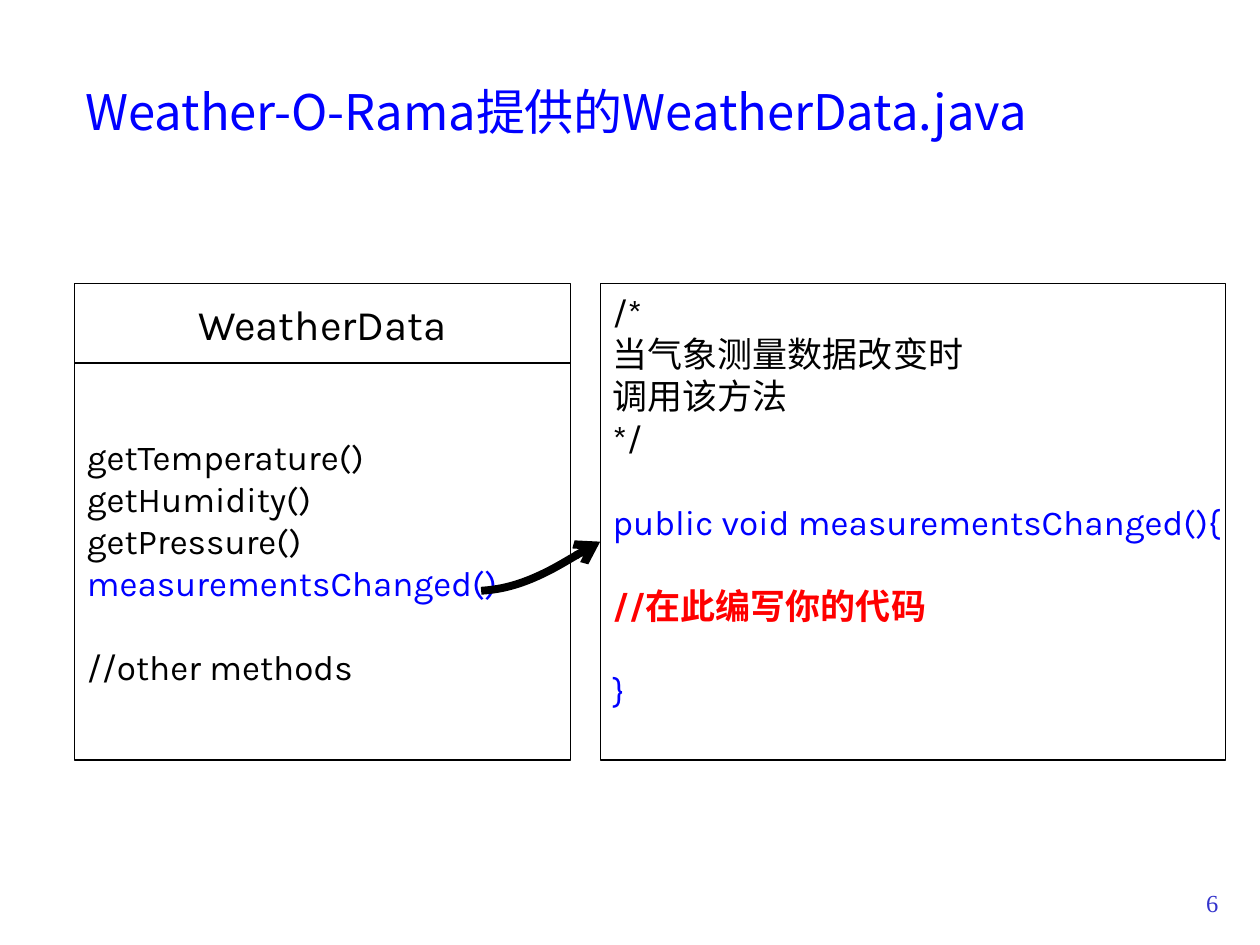
from lxml.etree import SubElement
from pptx import Presentation
from pptx.dml.color import RGBColor
from pptx.enum.shapes import MSO_SHAPE as Shape
from pptx.enum.text import MSO_ANCHOR as Anchor, MSO_AUTO_SIZE as AutoSize, PP_ALIGN as Align
from pptx.oxml.ns import qn
from pptx.util import Cm, Pt

COLORS = {"text": "000000", "code": "0000FF", "todo": "FF0000", "number": "3333CC"}
CODE_FONT, TITLE_FONT, NUMBER_FONT = "Karla", "Noto Sans CJK SC", "Times New Roman"
BLANK_LINE = 24  # points
INSET = 0.13  # cm, above and below the text


def write(paragraph, text, size=20, font=CODE_FONT, color="text", bold=False,
          align=Align.LEFT, before=0):
    paragraph.alignment = align
    paragraph.space_before = Pt(before)
    run = paragraph.add_run()
    run.text = text
    run.font.size = Pt(size)
    run.font.name = font
    run.font.bold = bold
    run.font.color.rgb = RGBColor.from_string(COLORS[color])
    SubElement(run.font._element, qn("a:ea"), typeface=font)


def place(shape, left, top, width, height):
    shape.left, shape.top, shape.width, shape.height = map(Cm, (left, top, width, height))


def add_box(shapes, left, top, width, height, lines, bottom=INSET):
    """Outlined rectangle; lines are (text, format) pairs."""
    box = shapes.add_shape(Shape.RECTANGLE, *map(Cm, (left, top, width, height)))
    box.shadow.inherit = False
    box.fill.background()
    box.line.color.rgb = RGBColor.from_string(COLORS["text"])
    box.line.width = Pt(0.75)
    frame = box.text_frame
    frame.word_wrap = False
    frame.vertical_anchor = Anchor.MIDDLE
    frame.margin_top, frame.margin_bottom = Cm(INSET), Cm(bottom)
    for i, (text, style) in enumerate(lines):
        paragraph = frame.add_paragraph() if i else frame.paragraphs[0]
        write(paragraph, text, **style)


def add_curved_arrow(shapes, points):
    """Open Bezier curve: a start, then three points for each segment."""
    start, *rest = [(Cm(x), Cm(y)) for x, y in points]
    builder = shapes.build_freeform(*start)
    builder.add_line_segments(rest, close=False)
    arrow = builder.convert_to_shape()
    arrow.shadow.inherit = False
    arrow.fill.background()
    arrow.line.color.rgb = RGBColor.from_string(COLORS["text"])
    arrow.line.width = Pt(4.5)
    SubElement(arrow.line._get_or_add_ln(), qn("a:tailEnd"), type="arrow")

    # Turn every three straight steps into one cubic segment
    outline = next(arrow._element.iter(qn("a:path")))
    steps = outline.findall(qn("a:lnTo"))
    for i in range(0, len(steps), 3):
        curve = SubElement(outline, qn("a:cubicBezTo"))
        for step in steps[i:i + 3]:
            curve.append(step[0])
            outline.remove(step)


def main():
    prs = Presentation()
    prs.slide_width, prs.slide_height = Cm(25.4), Cm(19.05)
    slide = prs.slides.add_slide(prs.slide_layouts[5])
    shapes = slide.shapes

    # Title
    title = shapes.title
    place(title, 1.47, 0.64, 21.59, 3.18)
    title.text_frame.auto_size = AutoSize.NONE
    title.text_frame.vertical_anchor = Anchor.MIDDLE
    write(title.text_frame.paragraphs[0], "Weather-O-Rama提供的WeatherData.java",
          size=28, font=TITLE_FONT, color="code")

    # Class diagram
    top, header_height, box_height = 5.72, 1.6, 9.6
    class_diagram = shapes.add_group_shape().shapes
    add_box(class_diagram, 1.5, top, 10, header_height,
            [("WeatherData", dict(size=24, align=Align.CENTER))])
    add_box(class_diagram, 1.5, top + header_height, 10, box_height - header_height, [
        ("getTemperature()", {}),
        ("getHumidity()", {}),
        ("getPressure()", {}),
        ("measurementsChanged()", dict(color="code")),
        ("//other methods", dict(before=BLANK_LINE)),
    ])

    # Method code, with one free line kept below it
    add_box(shapes, 12.1, top, 12.6, box_height, [
        ("/*", {}),
        ("当气象测量数据改变时", {}),
        ("调用该方法", {}),
        ("*/", {}),
        ("public void measurementsChanged(){", dict(color="code", before=BLANK_LINE)),
        ("//在此编写你的代码", dict(color="todo", bold=True, before=BLANK_LINE)),
        ("}", dict(color="code", before=BLANK_LINE)),
    ], bottom=INSET + Pt(BLANK_LINE).cm)

    # Arrow from the method to its code
    add_curved_arrow(shapes, [(9.7, 11.91), (10, 11.89), (10.29, 11.84), (10.69, 11.68),
                              (11.1, 11.51), (11.86, 11.05), (12.1, 10.92)])

    # Slide number
    number = shapes.add_textbox(Cm(23.11), Cm(17.78), Cm(1.7), Cm(1.27))
    number.text_frame.word_wrap = True
    write(number.text_frame.paragraphs[0], "6", size=14, font=NUMBER_FONT,
          color="number", align=Align.RIGHT)

    prs.save("out.pptx")


if __name__ == "__main__":
    main()
